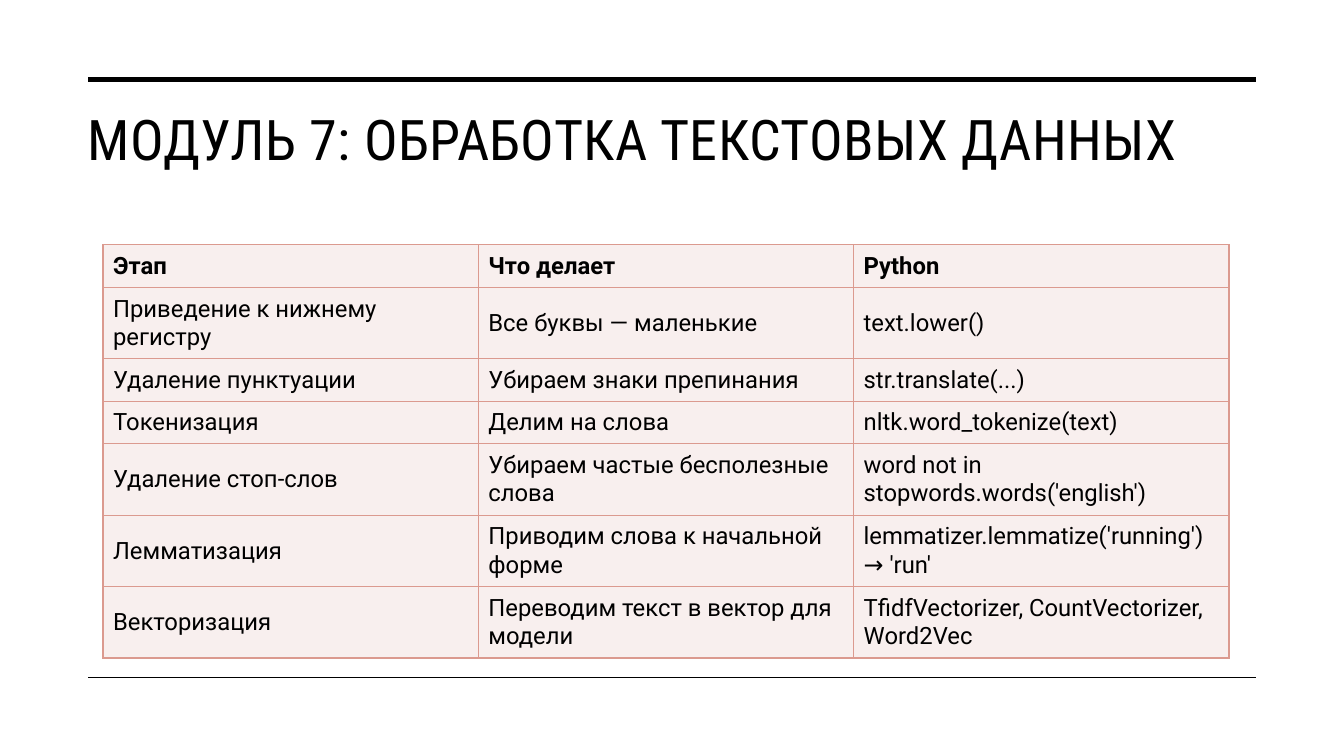
"""Build a slide with a table of text preprocessing steps."""
from lxml import etree
from pptx import Presentation
from pptx.dml.color import RGBColor
from pptx.enum import shapes, text
from pptx.oxml import ns
from pptx.util import Pt

BLACK = RGBColor(0x00, 0x00, 0x00)
WHITE = RGBColor(0xFF, 0xFF, 0xFF)
BLUSH = RGBColor(0xF8, 0xEF, 0xEE)
ROSE = RGBColor(0xDB, 0x9A, 0x8F)

STEPS = [
    ("Этап", "Что делает", "Python"),
    ("Приведение к нижнему регистру", "Все буквы — маленькие", "text.lower()"),
    ("Удаление пунктуации", "Убираем знаки препинания", "str.translate(...)"),
    ("Токенизация", "Делим на слова", "nltk.word_tokenize(text)"),
    ("Удаление стоп-слов", "Убираем частые бесполезные слова",
     "word not in stopwords.words('english')"),
    ("Лемматизация", "Приводим слова к начальной форме",
     "lemmatizer.lemmatize('running') → 'run'"),
    ("Векторизация", "Переводим текст в вектор для модели",
     "TfidfVectorizer, CountVectorizer, Word2Vec"),
]
ONE_LINE, TWO_LINES = 30.4, 51
ROW_HEIGHTS = [ONE_LINE, TWO_LINES, ONE_LINE, ONE_LINE] + [TWO_LINES] * 3
COLUMN_WIDTH = 268.1


def write(para, words, **formats):
    span = para.add_run()
    span.text = words
    span.font.color.rgb = BLACK
    for name, value in formats.items():
        setattr(span.font, name, value)
    return span


def add_borders(cell):
    properties = cell._tc.get_or_add_tcPr()
    for index, side in enumerate(("lnL", "lnR", "lnT", "lnB")):
        border = etree.Element(ns.qn(f"a:{side}"), w=str(Pt(1)))
        fill = etree.SubElement(border, ns.qn("a:solidFill"))
        etree.SubElement(fill, ns.qn("a:srgbClr"), val=str(ROSE))
        properties.insert(index, border)


deck = Presentation()
deck.slide_width, deck.slide_height = Pt(960), Pt(540)
page = deck.slides.add_slide(deck.slide_layouts[5])
page.background.fill.solid()
page.background.fill.fore_color.rgb = WHITE

title = page.shapes.title
place = {"left": 55.5, "top": 71.25, "width": 841.7, "height": 90.7}
for name, value in place.items():
    setattr(title, name, Pt(value))
frame = title.text_frame
frame_formats = {
    "word_wrap": True,
    "auto_size": text.MSO_AUTO_SIZE.NONE,
    "vertical_anchor": text.MSO_ANCHOR.TOP,
}
for name, value in frame_formats.items():
    setattr(frame, name, value)
para = frame.paragraphs[0]
para.alignment = text.PP_ALIGN.LEFT
span = write(para, "МОДУЛЬ 7: ОБРАБОТКА ТЕКСТОВЫХ ДАННЫХ",
             name="Roboto Condensed", size=Pt(40), bold=False)
span.font._element.set("spc", "30")

for y, weight in ((56.9, 3.5), (483.8, 1)):
    rule = page.shapes.add_connector(
        shapes.MSO_CONNECTOR.STRAIGHT, Pt(63), Pt(y), Pt(897), Pt(y))
    rule.line.color.rgb = BLACK
    rule.line.width = Pt(weight)
    etree.SubElement(rule._element.spPr, ns.qn("a:effectLst"))

table = page.shapes.add_table(
    len(STEPS), len(STEPS[0]), Pt(73.6), Pt(174.8),
    Pt(COLUMN_WIDTH * len(STEPS[0])), Pt(sum(ROW_HEIGHTS))).table
table.horz_banding = False
for column in table.columns:
    column.width = Pt(COLUMN_WIDTH)
for i, (height, step) in enumerate(zip(ROW_HEIGHTS, STEPS)):
    table.rows[i].height = Pt(height)
    for j, words in enumerate(step):
        cell = table.cell(i, j)
        cell.vertical_anchor = text.MSO_ANCHOR.MIDDLE
        cell.fill.solid()
        cell.fill.fore_color.rgb = BLUSH
        add_borders(cell)
        write(cell.text_frame.paragraphs[0], words,
              name="Roboto", size=Pt(17), bold=i == 0)

deck.save("out.pptx")
